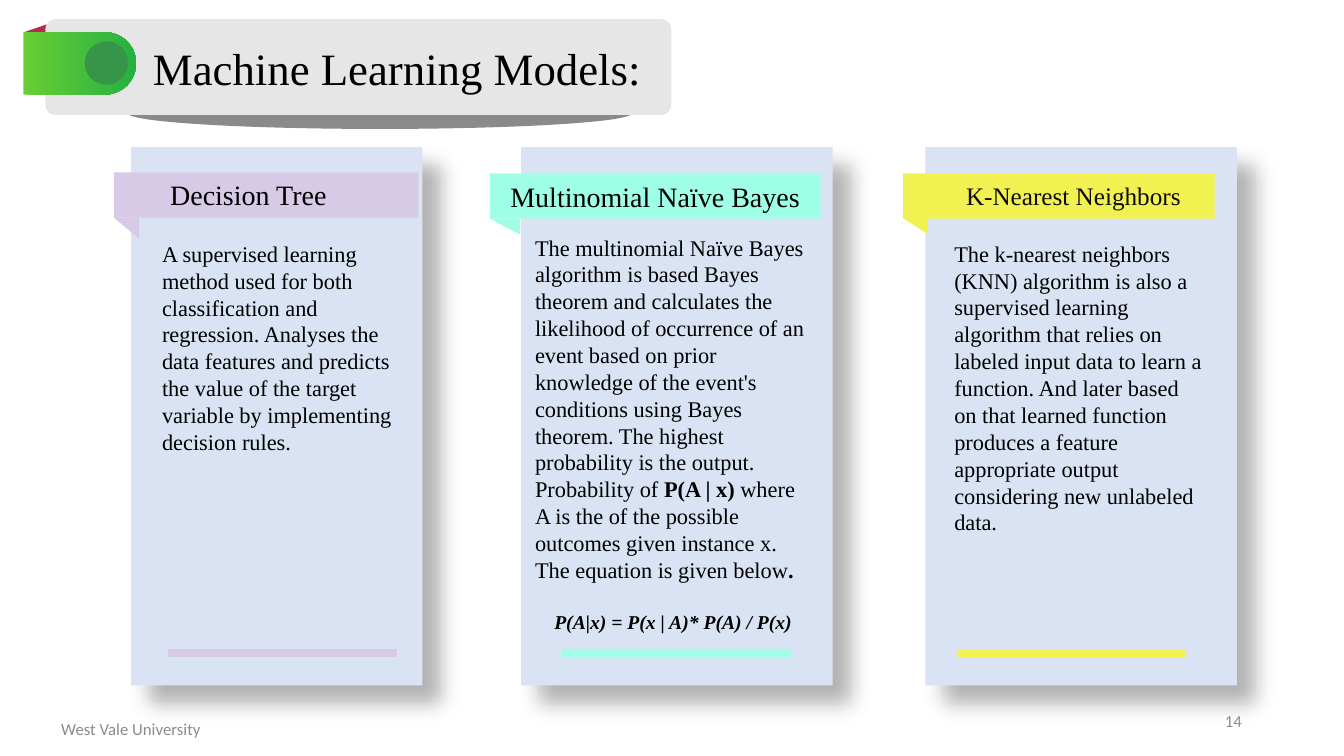
from dataclasses import dataclass

from lxml import etree
from pptx import Presentation
from pptx import util as u
from pptx.dml import color
from pptx.enum import shapes, text
from pptx.oxml import ns

KIND = shapes.MSO_SHAPE
ALIGN = text.PP_ALIGN
ANCHOR = text.MSO_ANCHOR


@dataclass(frozen=True)
class Theme:
    serif: str = "Times New Roman"
    sans: str = "Calibri"
    ink: str = "000000"
    soft_ink: str = "0D0D0D"
    footer: str = "8C8C8C"
    card: str = "DAE3F3"
    plate: str = "E7E6E6"
    fold: str = "B82A4C"
    tab_start: str = "68CE35"
    tab_end: str = "26B041"
    dot: str = "369548"
    lilac: str = "D6CAE6"
    mint: str = "9FFFE6"
    yellow: str = "F1F151"
    title_size: int = 32
    heading_size: int = 20
    small_heading_size: int = 18
    body_size: int = 16
    equation_size: int = 14
    footer_size: int = 12


@dataclass(frozen=True)
class Model:
    name: str
    name_format: dict
    name_box: tuple
    card: tuple
    banner: tuple
    fold: tuple
    body_box: tuple
    rule: tuple
    accent: str
    paragraphs: list


class SlideBuilder:
    def __init__(self, slide, theme):
        self.slide = slide
        self.theme = theme

    def shape(self, kind, box, fill=None, flips=(), rotation=0):
        item = self.slide.shapes.add_shape(kind, *map(u.Pt, box))
        item.shadow.inherit = False
        item.line.fill.background()
        item.rotation = rotation
        if fill:
            item.fill.solid()
            item.fill.fore_color.rgb = color.RGBColor.from_string(fill)
        for flip in flips:
            item.element.spPr.xfrm.set(flip, "1")
        return item

    def ellipse_shade(self, box, opacity):
        shade = self.shape(KIND.OVAL, box, self.theme.ink)
        tint = shade.element.spPr.find(".//" + ns.qn("a:srgbClr"))
        etree.SubElement(tint, ns.qn("a:alpha"), val=str(opacity * 1000))

    def gradient_tab(self, box):
        tab = self.shape(KIND.ROUND_2_SAME_RECTANGLE, box, rotation=90)
        tab.adjustments[0] = 0.5
        tab.fill.gradient()
        tab.fill.gradient_angle = 90
        ends = self.theme.tab_start, self.theme.tab_end
        for stop, shade in zip(tab.fill.gradient_stops, ends):
            stop.color.rgb = color.RGBColor.from_string(shade)

    def card(self, box):
        card = self.shape(KIND.RECTANGLE, box, self.theme.card)
        effects = card.element.spPr.find(ns.qn("a:effectLst"))
        shadow = etree.SubElement(
            effects, ns.qn("a:outerShdw"), blurRad=str(u.Pt(15)), dist=str(u.Pt(18)),
            dir=str(45 * 60000), algn="tl", rotWithShape="0")
        tint = etree.SubElement(shadow, ns.qn("a:srgbClr"), val=self.theme.ink)
        etree.SubElement(tint, ns.qn("a:alpha"), val="30000")

    def rule(self, left, right, y, shade):
        rule = self.slide.shapes.add_connector(
            shapes.MSO_CONNECTOR.STRAIGHT, *map(u.Pt, (left, y, right, y)))
        rule.line.color.rgb = color.RGBColor.from_string(shade)
        rule.line.width = u.Pt(6)
        etree.SubElement(rule.element.spPr, ns.qn("a:effectLst"))

    def text(self, box, paragraphs, anchor=ANCHOR.TOP):
        frame = self.slide.shapes.add_textbox(*map(u.Pt, box)).text_frame
        frame.word_wrap = True
        frame.vertical_anchor = anchor
        for index, (layout, runs) in enumerate(paragraphs):
            paragraph = frame.add_paragraph() if index else frame.paragraphs[0]
            for key, value in layout.items():
                setattr(paragraph, key, value)
            for words, changes in runs:
                self.run(paragraph, words, changes)

    def run(self, paragraph, words, changes):
        style = {"name": self.theme.serif, "size": self.theme.body_size,
                 "color": self.theme.ink} | changes
        run = paragraph.add_run()
        run.text = words
        run.font.color.rgb = color.RGBColor.from_string(style.pop("color"))
        style["size"] = u.Pt(style["size"])
        for key, value in style.items():
            setattr(run.font, key, value)

    def model(self, model):
        self.card(model.card)
        self.shape(KIND.RECTANGLE, model.banner, model.accent)
        self.shape(KIND.RIGHT_TRIANGLE, model.fold, model.accent, ("flipH", "flipV"))
        self.text(model.name_box,
                  [({"alignment": ALIGN.CENTER}, [(model.name, model.name_format)])],
                  ANCHOR.MIDDLE)
        self.text(model.body_box, model.paragraphs)
        self.rule(*model.rule, model.accent)


def main():
    theme = Theme()
    deck = Presentation()
    deck.slide_width, deck.slide_height = u.Pt(960), u.Pt(540)
    builder = SlideBuilder(deck.slides.add_slide(deck.slide_layouts[6]), theme)

    builder.ellipse_shade((91.4, 69.8, 360, 22.3), 46)
    builder.shape(KIND.RIGHT_TRIANGLE, (17.3, 15.8, 20.9, 7.2), theme.fold, ("flipH",))
    plate = builder.shape(KIND.ROUNDED_RECTANGLE, (32.4, 13.7, 447.1, 68.4), theme.plate)
    plate.adjustments[0] = 0.107
    builder.text((102.2, 25.2, 365.8, 46.1),
                 [({}, [("Machine Learning Models:", {"size": theme.title_size})])])
    builder.gradient_tab((34.6, 5, 44.6, 80.6))
    builder.shape(KIND.OVAL, (60.5, 29.5, 31, 31), theme.dot)

    bold = {"bold": True}
    equation = {"size": theme.equation_size, "bold": True, "italic": True}
    heading = {"size": theme.heading_size}
    models = [
        Model("Decision Tree", heading, (91.4, 123.1, 172.1, 31.7),
              (93.6, 105.1, 208.1, 384.5), (81.4, 123.1, 217.4, 32.4),
              (81.4, 155.5, 18, 15.1), (108.7, 167.8, 180, 181.4),
              (120.2, 283.7, 466.6), theme.lilac,
              [({}, [("A supervised learning method used for both classification and "
                      "regression. Analyses the data features and predicts the value of "
                      "the target variable by implementing decision rules.", {})])]),
        Model("Multinomial Naïve Bayes", heading, (349.9, 123.8, 236.2, 32.4),
              (372.2, 105.1, 222.5, 384.5), (349.9, 123.8, 236.2, 32.4),
              (349.9, 156.2, 21.6, 11.5), (375.1, 163.4, 211.7, 312.5),
              (401.8, 565.2, 466.6), theme.mint,
              [({}, [("The multinomial Naïve Bayes algorithm is based Bayes theorem and "
                      "calculates the likelihood of occurrence of an event based on prior "
                      "knowledge of the event's conditions using Bayes theorem. The "
                      "highest probability is the output. Probability of ", {}),
                     ("P(A | x)", bold),
                     (" where A is the of the possible outcomes given instance x. "
                      "The equation is given below", {}),
                     (".", bold)]),
               ({"alignment": ALIGN.CENTER, "space_before": u.Pt(19)},
                [("P(A|x) = P(x | A)* P(A) / P(x)", equation)])]),
        Model("K-Nearest Neighbors",
              {"size": theme.small_heading_size, "color": theme.soft_ink},
              (674.6, 125.3, 184.3, 28.8),
              (661, 105.1, 222.5, 384.5), (645.1, 123.8, 222.5, 32.4),
              (644.4, 155.5, 18, 11.5), (674.6, 167.8, 194.4, 239.8),
              (684, 847.4, 467.3), theme.yellow,
              [({}, [("The k-nearest neighbors (KNN) algorithm is also a supervised "
                      "learning algorithm that relies on labeled input data to learn a "
                      "function. And later based on that learned function produces a "
                      "feature appropriate output considering new unlabeled data.", {})])]),
    ]
    for model in models:
        builder.model(model)

    footer = {"name": theme.sans, "size": theme.footer_size, "color": theme.footer}
    builder.text((13.6, 506.2, 160, 28.8),
                 [({"alignment": ALIGN.CENTER}, [("West Vale University", footer)])],
                 ANCHOR.MIDDLE)
    builder.text((678.2, 500.4, 216, 28.8),
                 [({"alignment": ALIGN.RIGHT}, [("14", footer)])], ANCHOR.MIDDLE)
    deck.save("out.pptx")


if __name__ == "__main__":
    main()
